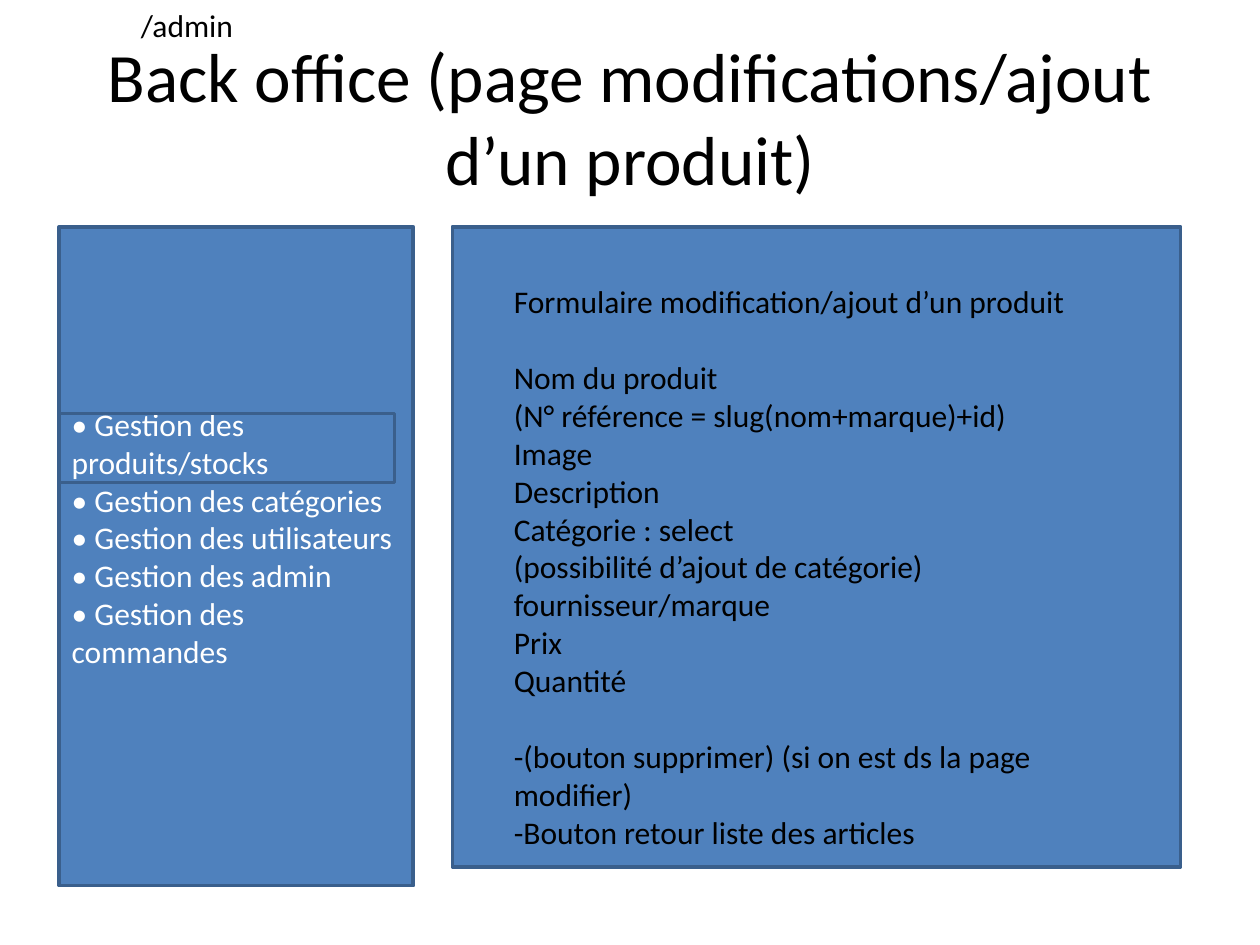
from dataclasses import dataclass
from typing import NamedTuple, Optional

from pptx import Presentation
from pptx.dml.color import RGBColor as RGB
from pptx.enum.shapes import MSO_SHAPE as Shape
from pptx.enum.text import MSO_ANCHOR as Anchor, MSO_AUTO_SIZE as AutoSize, PP_ALIGN as Align
from pptx.util import Inches, Pt


@dataclass(frozen=True)
class Theme:
    font: str = "Calibri"
    title: float = 39.6
    body: float = 18
    line_gap: float = 22  # height of one body line
    border: float = 2
    ink: RGB = RGB(0x00, 0x00, 0x00)
    light: RGB = RGB(0xFF, 0xFF, 0xFF)
    panel: RGB = RGB(0x4F, 0x81, 0xBD)
    edge: RGB = RGB(0x3A, 0x5F, 0x8C)


class Box(NamedTuple):
    left: float
    top: float
    width: float
    height: float


class Panel(NamedTuple):
    box: Box
    fill: Optional[RGB]


THEME = Theme()
TITLE = Box(0.5, 0.3, 9, 1.25)
ROUTE = Box(1.02, 0, 0.94, 0.4)
FORM = Box(3.98, 2.19, 5.23, 4.64)
MENU_PANEL = Panel(Box(0.47, 1.8, 2.81, 5.23), THEME.panel)
FORM_PANEL = Panel(Box(3.59, 1.8, 5.78, 5.08), THEME.panel)
ACTIVE_ITEM = Panel(Box(0.47, 3.28, 2.66, 0.55), None)

MENU = ["produits/stocks", "catégories", "utilisateurs", "admin", "commandes"]
FORM_GROUPS = [
    ["Formulaire modification/ajout d’un produit"],
    ["Nom du produit", "(N° référence = slug(nom+marque)+id)", "Image", "Description",
     "Catégorie : select", "(possibilité d’ajout de catégorie)", "fournisseur/marque",
     "Prix", "Quantité"],
    ["-(bouton supprimer) (si on est ds la page modifier)",
     "-Bouton retour liste des articles"],
]


def inches(box: Box) -> list:
    return [Inches(v) for v in box]


def apply(target, **values) -> None:
    for name, value in values.items():
        setattr(target, name, value)


def write(tf, groups: list[list[str]], color: RGB, size: float = THEME.body,
          align: Align = Align.LEFT) -> None:
    """Write one paragraph per line, with a line's gap between groups."""
    p = None
    for group in groups:
        for i, line in enumerate(group):
            gap = THEME.line_gap if p is not None and i == 0 else 0
            p = tf.paragraphs[0] if p is None else tf.add_paragraph()
            apply(p, alignment=align, space_before=Pt(gap))
            r = p.add_run()
            r.text = line
            apply(r.font, name=THEME.font, size=Pt(size))
            r.font.color.rgb = color


def add_panel(s, panel: Panel):
    sp = s.shapes.add_shape(Shape.RECTANGLE, *inches(panel.box))
    sp.shadow.inherit = False
    if panel.fill is None:
        sp.fill.background()
    else:
        sp.fill.solid()
        sp.fill.fore_color.rgb = panel.fill
    sp.line.color.rgb = THEME.edge
    sp.line.width = Pt(THEME.border)
    return sp


def add_text(s, box: Box, groups: list[list[str]]) -> None:
    tf = s.shapes.add_textbox(*inches(box)).text_frame
    apply(tf, word_wrap=True, auto_size=AutoSize.SHAPE_TO_FIT_TEXT)
    write(tf, groups, THEME.ink)


def main() -> None:
    prs = Presentation()
    apply(prs, slide_width=Inches(10), slide_height=Inches(7.5))
    s = prs.slides.add_slide(prs.slide_layouts[5])

    # Title and route
    title = s.shapes.title
    apply(title, **dict(zip(Box._fields, inches(TITLE))))
    apply(title.text_frame, auto_size=AutoSize.NONE, word_wrap=True,
          vertical_anchor=Anchor.MIDDLE)
    write(title.text_frame, [["Back office (page modifications/ajout d’un produit)"]],
          THEME.ink, THEME.title, Align.CENTER)
    add_text(s, ROUTE, [["/admin"]])

    # Side menu, lifted half a line above the middle by its bottom margin
    tf = add_panel(s, MENU_PANEL).text_frame
    apply(tf, word_wrap=True, vertical_anchor=Anchor.MIDDLE, margin_bottom=Inches(0.35))
    write(tf, [[f"• Gestion des {item}" for item in MENU]], THEME.light)

    # Product form and the frame around the active menu item
    add_panel(s, FORM_PANEL)
    add_panel(s, ACTIVE_ITEM)
    add_text(s, FORM, FORM_GROUPS)

    prs.save("out.pptx")


if __name__ == "__main__":
    main()
